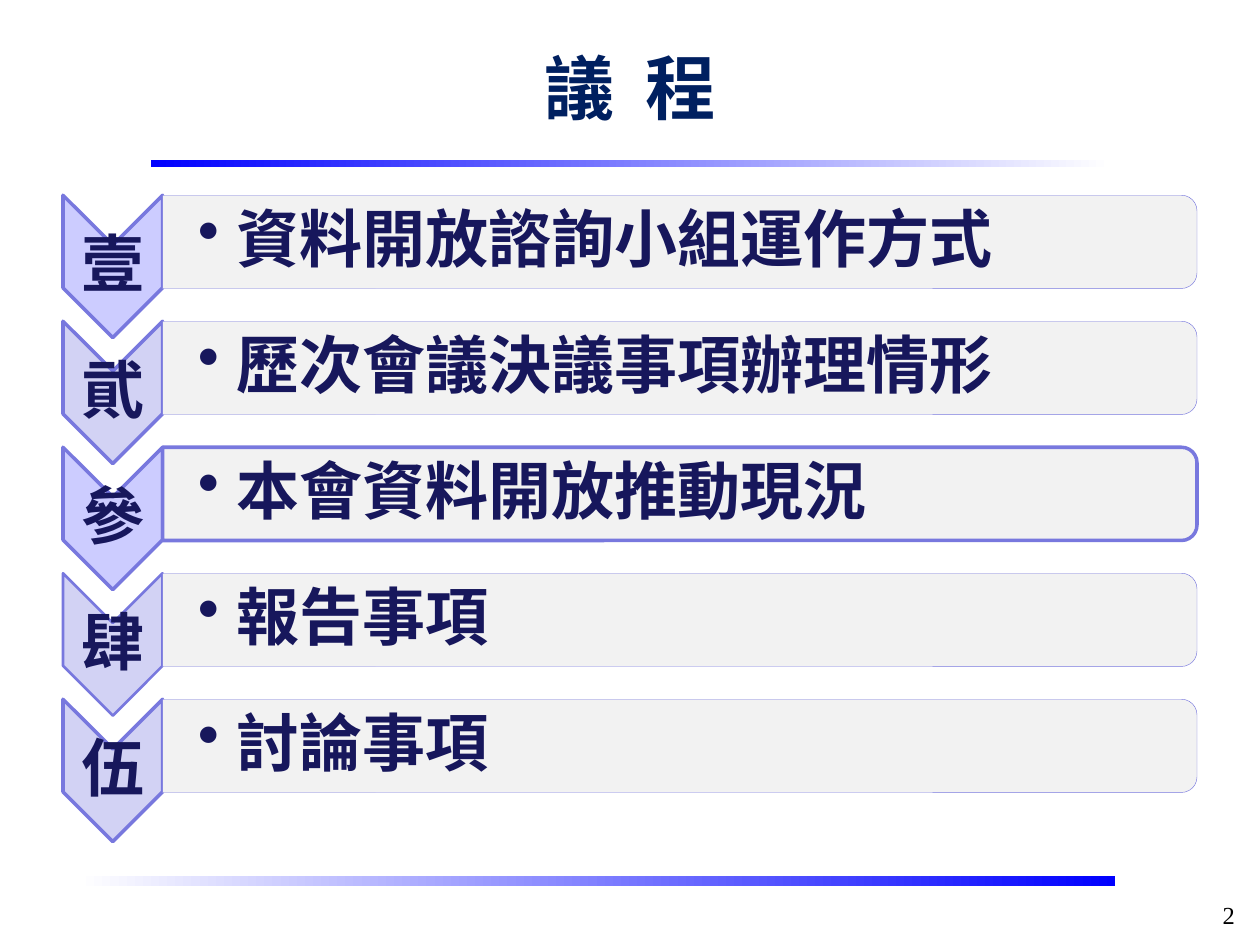
from dataclasses import dataclass

from lxml import etree
from pptx import Presentation
from pptx.dml import color as dml
from pptx.enum import shapes, text
from pptx.oxml import ns
from pptx.util import Inches, Pt


@dataclass(frozen=True)
class Theme:
    heading_font: str = "Noto Sans CJK SC"
    number_font: str = "Times New Roman"
    title_size: int = 40
    item_size: int = 36
    number_size: int = 14
    title: str = "002060"
    item: str = "17175C"
    number: str = "000000"
    white: str = "FFFFFF"
    bar: str = "0000FF"
    outline: str = "7878DE"
    panel: str = "F2F2F2"
    bright: str = "CCCCFF"
    soft: str = "D2D2F4"


THEME = Theme()
ROW_TOP, ROW_PITCH = 1.55, 1.0
AGENDA = [
    ("壹", "資料開放諮詢小組運作方式", THEME.bright, 2, 0.25),
    ("貮", "歷次會議決議事項辦理情形", THEME.soft, 2, 0.25),
    ("參", "本會資料開放推動現況", THEME.bright, 2, 2),
    ("肆", "報告事項", THEME.soft, 1.5, 0.25),
    ("伍", "討論事項", THEME.soft, 2, 0.25),
]


def rgb(value):
    return dml.RGBColor.from_string(value)


def write_text(frame, words, *, size, color, font=THEME.heading_font, bold=True,
               align=text.PP_ALIGN.LEFT, anchor=text.MSO_ANCHOR.TOP,
               insets=(0.1, 0.05, 0.1, 0.05), line_spacing=None,
               bullet_indent=None, tracking=None):
    frame.word_wrap = True
    frame.auto_size = text.MSO_AUTO_SIZE.NONE
    frame.vertical_anchor = anchor
    (frame.margin_left, frame.margin_top,
     frame.margin_right, frame.margin_bottom) = map(Inches, insets)
    para = frame.paragraphs[0]
    para.alignment = align
    para.line_spacing = line_spacing
    if bullet_indent:
        props = para._p.get_or_add_pPr()
        props.set("marL", str(Inches(bullet_indent)))
        props.set("indent", str(-Inches(bullet_indent)))
        etree.SubElement(props, ns.qn("a:buChar")).set("char", "•")
    span = para.add_run()
    span.text = words
    span.font.name = font
    span.font.size = Pt(size)
    span.font.bold = bold
    span.font.color.rgb = rgb(color)
    props = span._r.get_or_add_rPr()
    east_asian = etree.Element(ns.qn("a:ea"))
    east_asian.set("typeface", font)
    props.find(ns.qn("a:latin")).addnext(east_asian)
    if tracking:
        props.set("spc", str(int(tracking * 100)))


def add_text(page, words, left, top, width, height, **style):
    box = page.shapes.add_textbox(*map(Inches, (left, top, width, height)))
    write_text(box.text_frame, words, **style)


def add_gradient_bar(page, left, top, width, height, start, end):
    bar = page.shapes.add_shape(shapes.MSO_SHAPE.RECTANGLE,
                                *map(Inches, (left, top, width, height)))
    bar.shadow.inherit = False
    bar.line.fill.background()
    bar.fill.gradient()
    bar.fill.gradient_angle = 0
    for stop, color, position in zip(bar.fill.gradient_stops, (start, end), (0, 1)):
        stop.color.rgb = rgb(color)
        stop.position = position


def add_turned_shape(page, kind, left, top, width, height, fill, line_width):
    shift = (width - height) / 2
    shape = page.shapes.add_shape(
        kind, *map(Inches, (left + shift, top - shift, height, width)))
    shape.rotation = 90
    shape.shadow.inherit = False
    shape.fill.solid()
    shape.fill.fore_color.rgb = rgb(fill)
    shape.line.color.rgb = rgb(THEME.outline)
    shape.line.width = Pt(line_width)


def add_agenda_row(page, top, numeral, topic, fill, chevron_line, panel_line):
    style = dict(size=THEME.item_size, color=THEME.item, line_spacing=0.9,
                 anchor=text.MSO_ANCHOR.MIDDLE)
    add_turned_shape(page, shapes.MSO_SHAPE.CHEVRON, 0.5, top, 0.79, 1.13,
                     fill, chevron_line)
    add_text(page, numeral, 0.5, top + 0.4, 0.79, 0.34, insets=(0.03,) * 4,
             align=text.PP_ALIGN.CENTER, **style)
    add_turned_shape(page, shapes.MSO_SHAPE.ROUND_2_SAME_RECTANGLE, 1.29, top,
                     8.21, 0.74, THEME.panel, panel_line)
    add_text(page, topic, 1.29, top + 0.04, 8.17, 0.66,
             insets=(0.28, 0.03, 0.03, 0.03), bullet_indent=0.31, **style)


def add_title(page, words):
    title = page.shapes.title
    title.left, title.top, title.width, title.height = map(
        Inches, (0.5, 0.3, 9, 1.25))
    write_text(title.text_frame, words, size=THEME.title_size, color=THEME.title,
               align=text.PP_ALIGN.CENTER, tracking=4.5)


def main():
    deck = Presentation()
    deck.slide_width, deck.slide_height = Inches(10), Inches(7.5)
    page = deck.slides.add_slide(deck.slide_layouts[5])
    add_gradient_bar(page, 0.62, 6.95, 8.23, 0.08, THEME.white, THEME.bar)
    add_gradient_bar(page, 1.2, 1.27, 7.62, 0.06, THEME.bar, THEME.white)
    add_title(page, "議 程")
    add_text(page, "2", 9.13, 7.09, 0.77, 0.24, size=THEME.number_size,
             color=THEME.number, font=THEME.number_font, bold=False,
             align=text.PP_ALIGN.RIGHT)
    for index, row in enumerate(AGENDA):
        add_agenda_row(page, ROW_TOP + index * ROW_PITCH, *row)
    deck.save("out.pptx")


if __name__ == "__main__":
    main()
